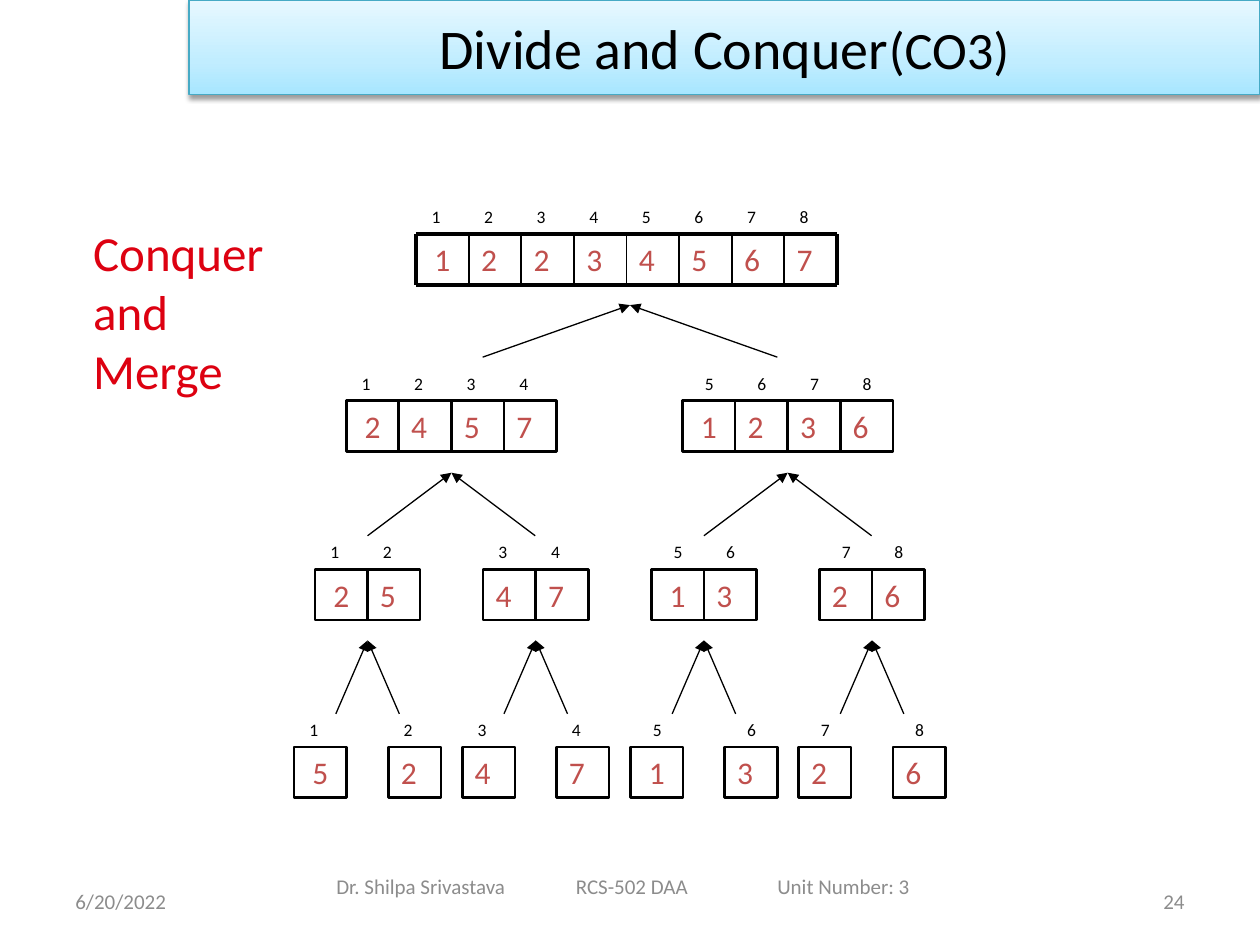
import copy

import lxml.etree
import pptx
import pptx.dml.color
import pptx.enum.dml
import pptx.enum.shapes
import pptx.enum.text
import pptx.oxml
import pptx.oxml.ns
import pptx.util

Cm = pptx.util.Cm
Pt = pptx.util.Pt
RGBColor = pptx.dml.color.RGBColor
ALIGN = pptx.enum.text.PP_ALIGN
ANCHOR = pptx.enum.text.MSO_ANCHOR
qn = pptx.oxml.ns.qn

BLACK = RGBColor(0x00, 0x00, 0x00)
VALUE_RED = RGBColor(0xC0, 0x50, 0x4D)
CAPTION_RED = RGBColor(0xDD, 0x01, 0x11)
FOOTER_GRAY = RGBColor(0x8C, 0x8C, 0x8C)
TITLE_LINE = RGBColor(0x46, 0xAA, 0xC5)
TITLE_STOPS = [
    (0, RGBColor(0xA7, 0xE6, 0xFF)),
    (0.35, RGBColor(0xC1, 0xED, 0xFF)),
    (1, RGBColor(0xE7, 0xF8, 0xFF)),
]

FONT = "Calibri"
CELL_WIDTH, CELL_HEIGHT = 1.06, 1.02
LABEL_SIZE = 0.64, 0.69

# Merge tree, root first: centre of each array, top of its cells, and the
# arrows below it as (tip shift, half spread, top, bottom), all in cm.
LEVELS = [
    {"arrays": ["12234567"], "centres": [12.63], "top": 4.72,
     "arrows": (0.07, 2.97, 6.15, 7.2)},
    {"arrays": ["2457", "1236"], "centres": [9.1, 15.88], "top": 8.08,
     "arrows": (0, 1.69, 9.53, 10.8)},
    {"arrays": ["25", "47", "13", "26"],
     "centres": [7.41 + 3.39 * i for i in range(4)], "top": 11.48,
     "arrows": (0, 0.64, 12.91, 14.39)},
    {"arrays": list("52471326"),
     "centres": [7.41 + 3.39 * i + side for i in range(4) for side in (-0.95, 0.95)],
     "top": 15.06, "arrows": None},
]


def write_text(shape, text, *, size, color, align=ALIGN.LEFT, anchor=ANCHOR.TOP, wrap=True):
    """Fill the shape with one paragraph per line of text."""
    frame = shape.text_frame
    frame.word_wrap = wrap
    frame.auto_size = pptx.enum.text.MSO_AUTO_SIZE.NONE
    frame.vertical_anchor = anchor
    frame.text = text
    for paragraph in frame.paragraphs:
        paragraph.alignment = align
        for run in paragraph.runs:
            run.font.name = FONT
            run.font.size = Pt(size)
            run.font.color.rgb = color


def add_text(shapes, text, left, top, width, height, **text_format):
    box = shapes.add_textbox(Cm(left), Cm(top), Cm(width), Cm(height))
    write_text(box, text, **text_format)
    return box


def add_line(shapes, start, end, width, arrow=False):
    """Draw a straight line, with an arrowhead at its start if asked."""
    line = shapes.add_connector(
        pptx.enum.shapes.MSO_CONNECTOR.STRAIGHT, *map(Cm, (*start, *end)))
    line.line.color.rgb = BLACK
    line.line.width = Pt(width)
    if arrow:
        head = lxml.etree.SubElement(line.line._get_or_add_ln(), qn("a:headEnd"))
        head.set("type", "triangle")
    lxml.etree.SubElement(line._element.spPr, qn("a:effectLst"))


def add_grid(shapes, left, top, columns):
    """Draw the ruled frame of the root array."""
    right, bottom = left + columns * CELL_WIDTH, top + CELL_HEIGHT
    for y in (top, bottom):
        add_line(shapes, (left, y), (right, y), 2.25)
    for column in range(columns + 1):
        x = left + column * CELL_WIDTH
        add_line(shapes, (x, top), (x, bottom), 2.25 if column in (0, columns) else 1)


def add_array(shapes, values, first_index, centre, top, ruled):
    """Draw a row of cells with index labels above, centred on a given x."""
    left = centre - len(values) * CELL_WIDTH / 2
    label_shift = 0.2 if first_index >= 5 else 0.06
    for column, value in enumerate(values):
        x = left + column * CELL_WIDTH
        index = first_index + column
        add_text(shapes, str(index), x + label_shift, top - LABEL_SIZE[1], *LABEL_SIZE,
                 size=10, color=BLACK)
        starts_half = column == 0 and first_index in (1, 5)
        value_format = {
            "size": 18, "color": VALUE_RED,
            "align": ALIGN.CENTER if starts_half else ALIGN.LEFT,
            "anchor": ANCHOR.MIDDLE if starts_half else ANCHOR.TOP,
        }
        if ruled:
            add_text(shapes, value, x, top, CELL_WIDTH, CELL_HEIGHT, **value_format)
            continue
        cell = shapes.add_shape(
            pptx.enum.shapes.MSO_SHAPE.RECTANGLE,
            Cm(x), Cm(top), Cm(CELL_WIDTH), Cm(CELL_HEIGHT))
        cell.shadow.inherit = False
        cell.fill.background()
        cell.line.color.rgb = BLACK
        cell.line.width = Pt(1.5)
        write_text(cell, value, **value_format)
    if ruled:
        add_grid(shapes, left, top, len(values))


def add_level(slide, arrays, centres, top, arrows):
    """Draw one level of the merge tree and the arrows that lead up to it."""
    shapes = slide.shapes.add_group_shape().shapes
    first_index = 1
    for values, centre in zip(arrays, centres):
        add_array(shapes, values, first_index, centre, top, ruled=len(arrays) == 1)
        first_index += len(values)
        if arrows:
            shift, spread, tip_y, end_y = arrows
            tip_x = centre + shift
            for side in (-spread, spread):
                add_line(shapes, (tip_x, tip_y), (tip_x + side, end_y), 0.75, arrow=True)


def format_title(title, left, top, width, height):
    title.left, title.top, title.width, title.height = map(Cm, (left, top, width, height))
    write_text(title, "Divide and Conquer", size=32, color=BLACK,
               align=ALIGN.CENTER, anchor=ANCHOR.MIDDLE)
    code = title.text_frame.paragraphs[0].add_run()
    code.text = "(CO3)"
    code.font.name = FONT
    code.font.size = Pt(30)
    code.font.color.rgb = BLACK

    title.fill.gradient()
    title.fill.gradient_angle = 90
    stop_list = title._element.spPr.find(".//" + qn("a:gsLst"))
    stop_list.append(copy.deepcopy(stop_list[-1]))
    for stop, (position, color) in zip(title.fill.gradient_stops, TITLE_STOPS):
        stop.position = position
        stop.color.rgb = color
    title.line.color.rgb = TITLE_LINE
    title.line.width = Pt(0.75)

    effects = lxml.etree.SubElement(title._element.spPr, qn("a:effectLst"))
    shadow = lxml.etree.SubElement(
        effects, qn("a:outerShdw"), blurRad=str(Pt(3.1)), dist=str(Pt(1.6)),
        dir="5400000", rotWithShape="0")
    shadow_color = lxml.etree.SubElement(shadow, qn("a:srgbClr"), val=str(BLACK))
    lxml.etree.SubElement(shadow_color, qn("a:alpha"), val="38000")


def add_footer(slide, left, top, width, height):
    """Place date, course line and slide number along the bottom."""
    footer_format = {"size": 12, "color": FOOTER_GRAY, "anchor": ANCHOR.MIDDLE}
    side_width, side_top = 5.93, top + 0.3
    add_text(slide.shapes, "6/20/2022", left, side_top, side_width, height, **footer_format)
    add_text(slide.shapes, "24", left + width - side_width, side_top, side_width, height,
             align=ALIGN.RIGHT, **footer_format)
    course = add_text(
        slide.shapes, "Dr. Shilpa Srivastava\tRCS-502 DAA\tUnit Number: 3",
        left + 3.61, top, 13.76, height, **footer_format)
    course.text_frame.margin_left = Cm(1.9)
    properties = course.text_frame.paragraphs[0]._p.get_or_add_pPr()
    tab_list = lxml.etree.SubElement(properties, qn("a:tabLst"))
    for position in (4.83, 8.89):
        lxml.etree.SubElement(tab_list, qn("a:tab"), pos=str(Cm(position)), algn="l")


def main():
    presentation = pptx.Presentation()
    presentation.slide_width, presentation.slide_height = Cm(25.4), Cm(19.05)
    slide = presentation.slides.add_slide(presentation.slide_layouts[5])
    for level in reversed(LEVELS):
        add_level(slide, **level)
    add_text(slide.shapes, "Conquer\nand\nMerge", 1.63, 4.37, 4.32, 3.81,
             size=28, color=CAPTION_RED, wrap=False)
    format_title(slide.shapes.title, 3.81, 0, 21.59, 1.91)
    add_footer(slide, 1.27, 17.35, 22.86, 1.02)
    presentation.save("out.pptx")


if __name__ == "__main__":
    main()
